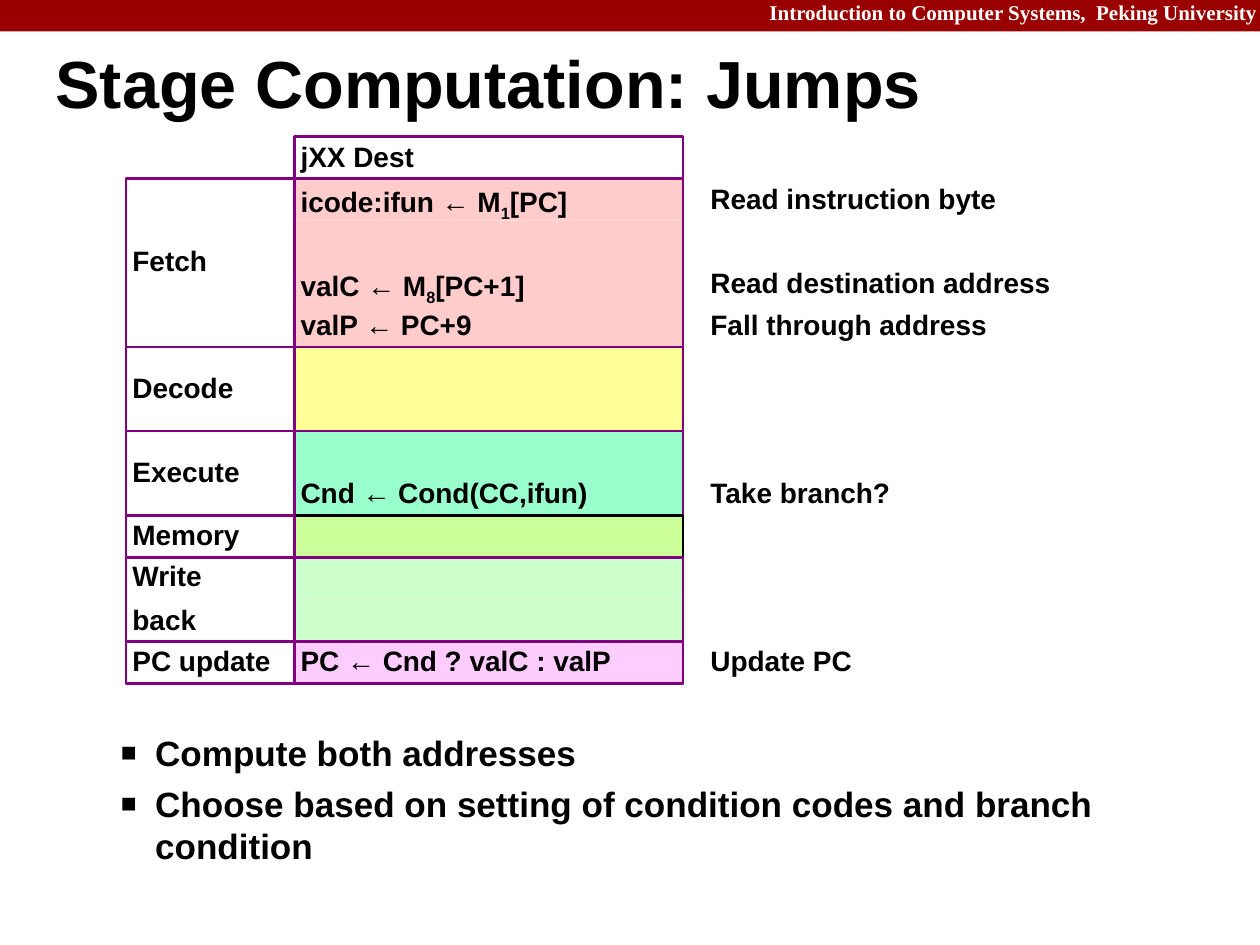
from lxml import etree
from pptx import Presentation
from pptx.dml.color import RGBColor
from pptx.enum.shapes import MSO_SHAPE
from pptx.enum.text import MSO_ANCHOR, PP_ALIGN
from pptx.oxml.ns import qn
from pptx.util import Pt

RECTANGLE = MSO_SHAPE.RECTANGLE
TOP, MIDDLE = MSO_ANCHOR.TOP, MSO_ANCHOR.MIDDLE
LEFT, RIGHT = PP_ALIGN.LEFT, PP_ALIGN.RIGHT

BLACK = RGBColor(0x00, 0x00, 0x00)
WHITE = RGBColor(0xFF, 0xFF, 0xFF)
DARK_RED = RGBColor(0x99, 0x00, 0x00)
PURPLE = RGBColor(0x80, 0x00, 0x80)
PINK = RGBColor(0xFF, 0xCC, 0xCC)
YELLOW = RGBColor(0xFF, 0xFF, 0x99)
AQUA = RGBColor(0x99, 0xFF, 0xCC)
LIME = RGBColor(0xCC, 0xFF, 0x99)
MINT = RGBColor(0xCC, 0xFF, 0xCC)
LILAC = RGBColor(0xFF, 0xCC, 0xFF)

ROW_HEIGHT = 24
NAME_LEFT, NAME_WIDTH = 72, 96
STEP_LEFT, STEP_WIDTH = 168, 222
NOTE_LEFT = 402
TABLE_TOP = 78


def add_box(left, top, width, height, fill=None, line=None):
    box = page.shapes.add_shape(RECTANGLE, Pt(left), Pt(top), Pt(width), Pt(height))
    box.shadow.inherit = False
    if fill is None:
        box.fill.background()
    else:
        box.fill.solid()
        box.fill.fore_color.rgb = fill
    if line is None:
        box.line.fill.background()
    else:
        box.line.color.rgb = line
        box.line.width = Pt(1.5)
    return box


def write(box, paragraphs, size=16, color=BLACK, font="Arial", align=LEFT,
          anchor=TOP, spacing=0.9, gap=8, insets=(3.6, 3.6, 3.6, 3.6)):
    frame = box.text_frame
    frame.word_wrap = True
    frame.vertical_anchor = anchor
    (frame.margin_left, frame.margin_top,
     frame.margin_right, frame.margin_bottom) = [Pt(inset) for inset in insets]
    for number, text in enumerate(paragraphs):
        para = frame.paragraphs[0] if number == 0 else frame.add_paragraph()
        para.alignment = align
        para.line_spacing = spacing
        if number:
            para.space_before = Pt(gap)
        for position, part in enumerate(text.split("_")):
            span = para.add_run()
            span.text = part
            span.font.name = font
            span.font.size = Pt(size)
            span.font.bold = True
            span.font.color.rgb = color
            if position == 1:
                span.font._element.set("baseline", "-25000")


deck = Presentation()
deck.slide_width = Pt(719.28)
deck.slide_height = Pt(539.28)
page = deck.slides.add_slide(deck.slide_layouts[6])

add_box(0, 0, 719.28, 18, fill=DARK_RED)
course = page.shapes.add_textbox(Pt(432), Pt(-2.2), Pt(287.28), Pt(20))
write(course, ["Introduction to Computer Systems,  Peking University"], size=12,
      color=WHITE, font="Times New Roman", align=RIGHT, insets=(0, 3.6, 1.5, 3.6))

title = page.shapes.add_textbox(Pt(31.7), Pt(19.5), Pt(685), Pt(61))
write(title, ["Stage Computation: Jumps"], size=38, anchor=MIDDLE,
      spacing=0.87, insets=(0, 0, 0, 0))

summary = page.shapes.add_textbox(Pt(23), Pt(414), Pt(653), Pt(92))
write(summary, ["Compute both addresses",
                "Choose based on setting of condition codes and branch condition"],
      size=20, spacing=1.0, gap=5, insets=(7.2, 3.6, 7.2, 3.6))
for para in summary.text_frame.paragraphs:
    properties = para._p.get_or_add_pPr()
    properties.set("marL", str(Pt(58.5)))
    properties.set("indent", str(Pt(-19.5)))
    etree.SubElement(properties, qn("a:buSzPct")).set("val", "75000")
    etree.SubElement(properties, qn("a:buFont")).set("typeface", "Arial")
    etree.SubElement(properties, qn("a:buChar")).set("char", "■")

instruction = add_box(STEP_LEFT, TABLE_TOP, STEP_WIDTH, ROW_HEIGHT, line=PURPLE)
write(instruction, ["jXX Dest"])

EMPTY = ("", "")
stages = [
    (["Fetch"], PINK, PURPLE, [("icode:ifun ← M_1_[PC]", "Read instruction byte"),
                               EMPTY,
                               ("valC ← M_8_[PC+1]", "Read destination address"),
                               ("valP ← PC+9", "Fall through address")]),
    (["Decode"], YELLOW, PURPLE, [EMPTY, EMPTY]),
    (["Execute"], AQUA, PURPLE, [EMPTY, ("Cnd ← Cond(CC,ifun)", "Take branch?")]),
    (["Memory"], LIME, BLACK, [EMPTY]),
    (["Write", "back"], MINT, PURPLE, [EMPTY, EMPTY]),
    (["PC update"], LILAC, PURPLE, [("PC ← Cnd ? valC : valP", "Update PC")]),
]

stage_top = TABLE_TOP + ROW_HEIGHT
for name, fill, border, rows in stages:
    stage_height = len(rows) * ROW_HEIGHT
    single = len(rows) == 1
    for index, (step, note) in enumerate(rows):
        row_top = stage_top + index * ROW_HEIGHT
        step_box = add_box(STEP_LEFT, row_top, STEP_WIDTH, ROW_HEIGHT,
                           fill, border if single else None)
        if step:
            write(step_box, [step])
        if note:
            note_box = page.shapes.add_textbox(Pt(NOTE_LEFT), Pt(row_top),
                                               Pt(STEP_WIDTH), Pt(ROW_HEIGHT))
            write(note_box, [note])
    if not single:
        add_box(STEP_LEFT, stage_top, STEP_WIDTH, stage_height, line=border)
    name_box = add_box(NAME_LEFT, stage_top, NAME_WIDTH, stage_height, line=PURPLE)
    write(name_box, name, anchor=MIDDLE)
    stage_top += stage_height

deck.save("out.pptx")
